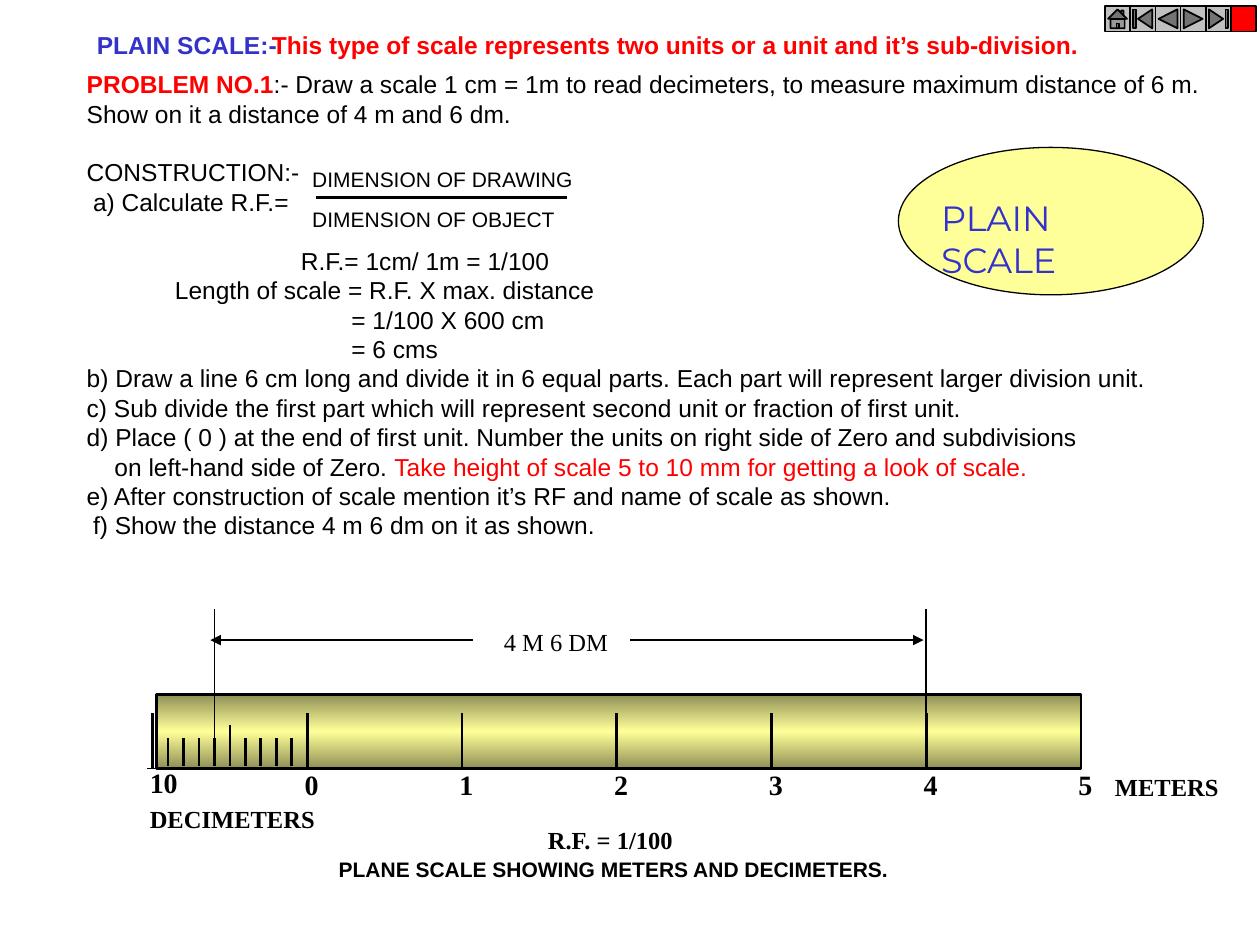
from copy import deepcopy

from pptx import Presentation
from pptx.dml.color import RGBColor
from pptx.enum.shapes import MSO_CONNECTOR, MSO_SHAPE
from pptx.enum.text import MSO_AUTO_SIZE
from pptx.oxml.ns import qn
from pptx.util import Inches, Pt
from lxml import etree

COLORS = {"black": "000000", "red": "FF0000", "blue": "3333CC",
          "yellow": "FFFF99", "olive": "8F8F56", "grey": "C0C0C0"}
SERIF = "Times New Roman"
LINE = 16.8  # height of one body line, points

# Body paragraphs: (indent in inches, lines skipped above, [(text, format)])
BODY = [
    (0, 0, [("PROBLEM NO.1", {"color": "red", "bold": True}),
            (":- Draw a scale 1 cm = 1m to read decimeters, to measure maximum distance of 6 m.", {})]),
    (0, 0, [("Show on it a distance of 4 m and 6 dm.", {})]),
    (0, 1, [("CONSTRUCTION:-", {})]),
    (0.05, 0, [("a) Calculate R.F.=", {})]),
    (1.7, 1, [("R.F.= 1cm/ 1m = 1/100", {})]),
    (0.7, 0, [("Length of scale = R.F. X max. distance", {})]),
    (2.1, 0, [("= 1/100 X 600 cm", {})]),
    (2.1, 0, [("= 6 cms", {})]),
    (0, 0, [("b) Draw a line 6 cm long and divide it in 6 equal parts. Each part will represent larger division unit.", {})]),
    (0, 0, [("c) Sub divide the first part which will represent second unit or fraction of first unit.", {})]),
    (0, 0, [("d) Place ( 0 ) at the end of first unit. Number the units on right side of Zero and subdivisions", {})]),
    (0.22, 0, [("on left-hand side of Zero. ", {}),
               ("Take height of scale 5 to 10 mm for getting a look of scale.", {"color": "red"})]),
    (0, 0, [("e) After construction of scale mention it’s RF and name of scale as shown.", {})]),
    (0.05, 0, [("f) Show the distance 4 m 6 dm on it as shown.", {})]),
]

# Single labels: (text, (left, top, width, height), format)
LABELS = [
    ("PLAIN SCALE:-", (0.67, 0.19, 1.68, 0.34), {"color": "blue", "bold": True}),
    ("This type of scale represents two units or a unit and it’s sub-division.",
     (2.06, 0.19, 6.61, 0.34), {"color": "red", "bold": True}),
    ("DIMENSION OF DRAWING", (2.38, 1.27, 2.27, 0.3), {"size": 12}),
    ("DIMENSION OF OBJECT", (2.38, 1.59, 2.27, 0.3), {"size": 12}),
    ("4 M 6 DM", (3.9, 4.93, 1.03, 0.34), {"font": SERIF}),
    ("10", (1.09, 6.03, 0.42, 0.37), {"font": SERIF, "size": 16, "bold": True}),
    ("METERS", (8.75, 6.08, 1.02, 0.34), {"font": SERIF, "bold": True}),
    ("DECIMETERS", (1.09, 6.33, 1.51, 0.34), {"font": SERIF, "bold": True}),
    ("R.F. = 1/100", (4.25, 6.5, 1.21, 0.34), {"font": SERIF, "bold": True}),
    ("PLANE SCALE SHOWING METERS AND DECIMETERS.", (2.59, 6.75, 4.57, 0.3),
     {"size": 12, "bold": True}),
]

BUTTONS = [
    (MSO_SHAPE.ACTION_BUTTON_HOME, "grey"),
    (MSO_SHAPE.ACTION_BUTTON_BEGINNING, "grey"),
    (MSO_SHAPE.ACTION_BUTTON_BACK_OR_PREVIOUS, "grey"),
    (MSO_SHAPE.ACTION_BUTTON_FORWARD_OR_NEXT, "grey"),
    (MSO_SHAPE.ACTION_BUTTON_END, "grey"),
    (MSO_SHAPE.ACTION_BUTTON_CUSTOM, "red"),
]

# Scale geometry
START, END, BASE, UNITS = 1.21, 8.58, 6.1, 6
UNIT = (END - START) / UNITS

prs = Presentation()
prs.slide_width, prs.slide_height = Inches(10), Inches(7.5)
s = prs.slides.add_slide(prs.slide_layouts[6])


def rgb(name):
    return RGBColor.from_string(COLORS[name])


def add_run(p, text, font="Arial", size=14, color="black", bold=False):
    r = p.add_run()
    r.text = text
    r.font.name, r.font.size, r.font.bold = font, Pt(size), bold
    r.font.color.rgb = rgb(color)


def add_box(box, wrap=False):
    tf = s.shapes.add_textbox(*map(Inches, box)).text_frame
    tf.word_wrap = wrap
    tf.auto_size = MSO_AUTO_SIZE.SHAPE_TO_FIT_TEXT
    return tf


def add_label(text, box, wrap=False, **fmt):
    add_run(add_box(box, wrap).paragraphs[0], text, **fmt)


def add_shape(kind, box, fill, width):
    sp = s.shapes.add_shape(kind, *map(Inches, box))
    sp.shadow.inherit = False
    sp.fill.solid()
    sp.fill.fore_color.rgb = rgb(fill)
    sp.line.color.rgb = rgb("black")
    sp.line.width = Pt(width)
    return sp


def add_line(x1, y1, x2, y2, width=1.5, arrow=False):
    c = s.shapes.add_connector(MSO_CONNECTOR.STRAIGHT, *map(Inches, (x1, y1, x2, y2)))
    c.line.color.rgb = rgb("black")
    c.line.width = Pt(width)
    if arrow:
        etree.SubElement(c.line._get_or_add_ln(), qn("a:tailEnd"), type="triangle")
    etree.SubElement(c._element.spPr, qn("a:effectLst"))


# Scale bar, dark at both edges and light in the middle
bar = add_shape(MSO_SHAPE.RECTANGLE, (1.24, 5.51, 7.34, 0.59), "yellow", 1.5)
bar.fill.gradient()
bar.fill.gradient_angle = 90
for position, stop in enumerate(bar.fill.gradient_stops):
    stop.position = position
    stop.color.rgb = rgb("olive")
gs_list = bar._element.spPr.find(qn("a:gradFill")).find(qn("a:gsLst"))
gs_list.insert(1, deepcopy(gs_list[0]))
middle = bar.fill.gradient_stops[1]
middle.position = 0.5
middle.color.rgb = rgb("yellow")

# Meter marks with numbers, then decimeter marks
add_line(1.17, BASE, END, BASE, 0.75)
for i in range(UNITS + 1):
    x = START + i * UNIT
    add_line(x, 5.66, x, BASE)
    if i:
        add_label(str(i - 1), (x - 0.12, 6.04, 0.31, 0.37), font=SERIF, size=16, bold=True)
for i in range(1, 10):
    x = START + i * UNIT / 10
    add_line(x, 5.75 if i == 5 else 5.86, x, 6.08)

# Measured distance
add_line(7.35, 5.75, 7.35, 4.83, 0.75)
add_line(1.7, 5.92, 1.7, 4.83, 0.75)
add_line(5, 5.08, 7.33, 5.08, 0.75, arrow=True)
add_line(3.75, 5.08, 1.67, 5.08, 0.75, arrow=True)

# Title ellipse
add_shape(MSO_SHAPE.OVAL, (7.13, 1.17, 2.42, 1.17), "yellow", 0.75)
add_label("PLAIN SCALE", (7.37, 1.51, 1.95, 0.44), wrap=True,
          font="Montserrat", size=20, color="blue")

# Problem and construction steps
tf = add_box((0.59, 0.5, 9.04, 4.31))
for i, (indent, skipped, runs) in enumerate(BODY):
    p = tf.paragraphs[0] if i == 0 else tf.add_paragraph()
    if indent:
        p._p.get_or_add_pPr().set("marL", str(Inches(indent)))
    if skipped:
        p.space_before = Pt(skipped * LINE)
    for text, fmt in runs:
        add_run(p, text, **fmt)

# Labels and fraction bar
for text, box, fmt in LABELS:
    add_label(text, box, **fmt)
add_line(2.51, 1.57, 4.5, 1.57)

# Navigation buttons
for i, (kind, fill) in enumerate(BUTTONS):
    add_shape(kind, (8.77 + 0.2 * i, 0.05, 0.2, 0.2), fill, 1)

prs.save("out.pptx")
